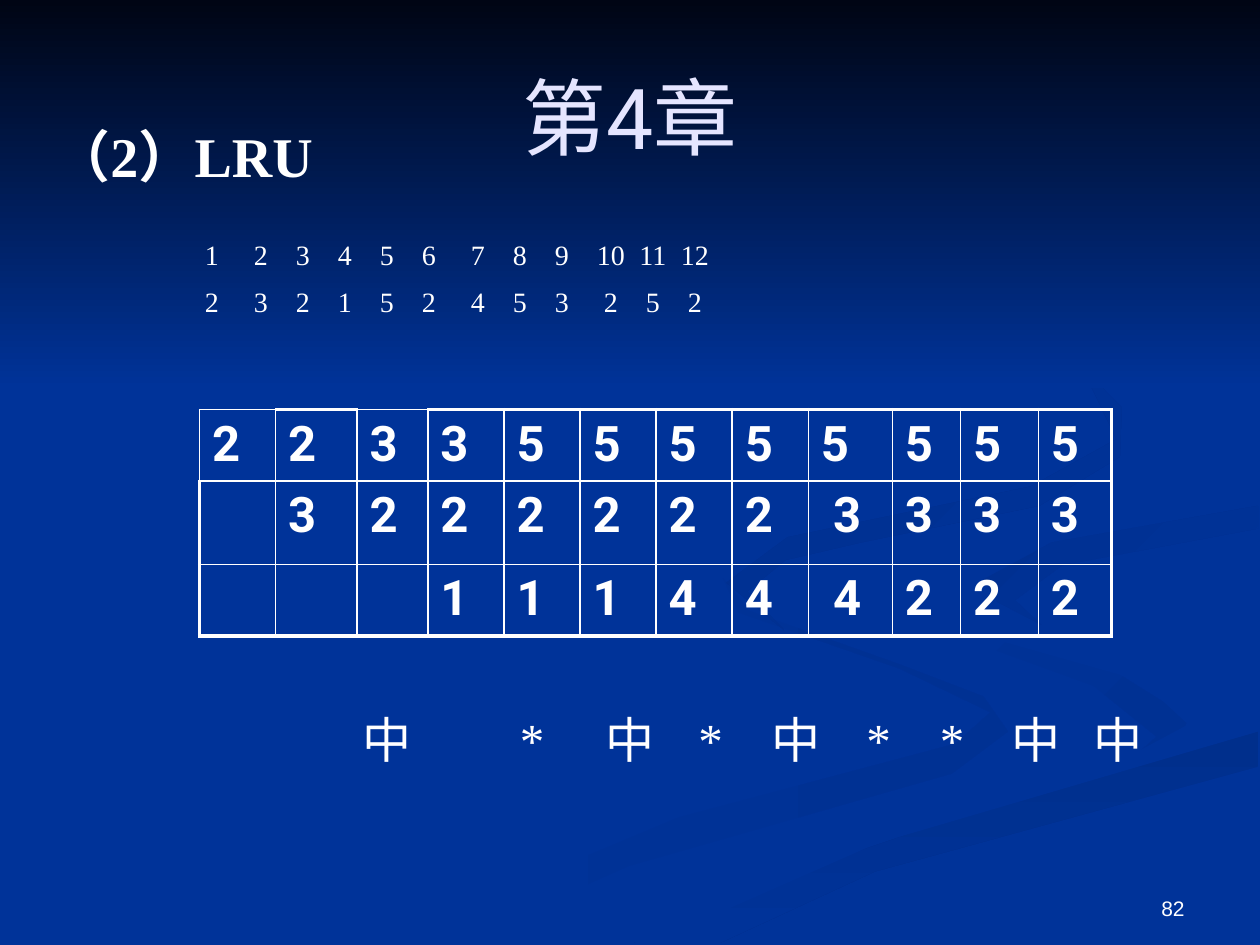
from itertools import accumulate

from lxml.etree import SubElement
from pptx import Presentation
from pptx.dml.color import RGBColor
from pptx.enum.text import MSO_ANCHOR, PP_ALIGN
from pptx.oxml.ns import qn
from pptx.util import Pt

WHITE, BLUE, NIGHT, LILAC = "FFFFFF", "003399", "000514", "E5E5FF"
SERIF, SANS, ARIAL = "Times New Roman", "Roboto", "Arial"

# Ribbons of the background: outline in points, gradient start, end, clockwise angle
RIBBONS = [
    ([(562, 398), (515, 380), (428, 349), (413, 330), (422, 350), (514, 382), (566, 407),
      (546, 425), (388, 467), (216, 539), (260, 539), (359, 495), (544, 442),
      (576, 418)], BLUE, "003193", 0),
    ([(679, 410), (639, 385), (546, 359), (521, 334), (537, 360), (625, 392), (661, 421),
      (644, 436), (675, 421)], BLUE, "003193", 45),
    ([(362, 539), (411, 539), (500, 498), (719, 438), (719, 418), (550, 466),
      (454, 499)], "002F8C", BLUE, 90),
    ([(522, 334), (546, 359), (652, 389), (679, 414), (634, 438), (507, 472), (343, 539),
      (374, 538), (501, 482), (719, 418), (719, 387), (624, 367), (562, 333), (592, 312),
      (719, 289), (719, 279), (567, 304)], BLUE, BLUE, 0),
    ([(562, 331), (570, 344), (595, 357), (580, 343), (607, 323), (719, 302), (719, 289),
      (601, 310)], "003091", BLUE, 45),
    ([(492, 310), (594, 289), (640, 261), (641, 233), (607, 198), (549, 168), (616, 205),
      (638, 251), (589, 278), (450, 307), (415, 333), (448, 360), (427, 338),
      (449, 320)], "002F8E", BLUE, 45),
    ([(0, 0), (720, 0), (720, 222), (0, 222)], NIGHT, BLUE, 90),
]

STEPS = [str(n) for n in range(1, 13)]
REQUESTS = "2 3 2 1 5 2 4 5 3 2 5 2".split()
WIDE_GAPS = (1, 6, 9)
STEP_TABS = list(accumulate((28 if i in WIDE_GAPS else 24 for i in range(1, 12)), initial=12))
MARKS = "中 * 中 * 中 * * 中 中".split()
MARK_TABS = [58, 141, 197, 243, 292, 339, 381, 429, 476]

FRAMES = ["2,2,3,3,5,5,5,5,5,5,5,5", ",3,2,2,2,2,2,2, 3,3,3,3", ",,,1,1,1,4,4, 4,2,2,2"]
COL_WIDTHS = [43.5, 46.5, 40.5] + [43.5] * 5 + [48, 39, 44.5, 42]
ROW_HEIGHTS = [41, 47.5, 41]
THIN_TOPS = (0, 2)


def rgb(color):
    return RGBColor.from_string(color)


def write(p, text, size=16, font=SERIF, color=WHITE, bold=False, align=PP_ALIGN.LEFT,
          before=0):
    p.alignment, p.space_before = align, Pt(before)
    r = p.add_run()
    r.text = text
    r.font.size, r.font.name, r.font.bold = Pt(size), font, bold
    r.font.color.rgb = rgb(color)


def set_tabs(p, stops):
    """Give the paragraph centred tab stops, in points."""
    tabs = SubElement(p._p.get_or_add_pPr(), qn("a:tabLst"))
    for stop in stops:
        SubElement(tabs, qn("a:tab"), pos=str(Pt(stop)), algn="ctr")


def set_borders(cell, widths):
    """Draw white borders; widths maps L, R, T and B to points."""
    tcPr = cell._tc.get_or_add_tcPr()
    for i, side in enumerate("LRTB"):
        ln = tcPr.makeelement(qn(f"a:ln{side}"), {"w": str(Pt(widths[side]))})
        fill = SubElement(ln, qn("a:solidFill"))
        SubElement(fill, qn("a:srgbClr"), val=WHITE)
        tcPr.insert(i, ln)


class Deck:
    def __init__(self, prs):
        self.s = prs.slides.add_slide(prs.slide_layouts[6])
        fill = self.s.background.fill
        fill.solid()
        fill.fore_color.rgb = rgb(BLUE)

    def ribbon(self, points, start, end, angle):
        builder = self.s.shapes.build_freeform(*points[0], scale=Pt(1))
        builder.add_line_segments(points[1:], close=True)
        sp = builder.convert_to_shape()
        sp.shadow.inherit = False
        sp.line.fill.background()
        sp.fill.gradient()
        sp.fill.gradient_angle = (360 - angle) % 360
        for stop, color in zip(sp.fill.gradient_stops, (start, end)):
            stop.color.rgb = rgb(color)

    def text(self, x, y, w, h, text, anchor=MSO_ANCHOR.TOP, **style):
        tf = self.s.shapes.add_textbox(Pt(x), Pt(y), Pt(w), Pt(h)).text_frame
        tf.word_wrap, tf.vertical_anchor = True, anchor
        write(tf.paragraphs[0], text, **style)

    def tabbed(self, x, y, w, h, rows, stops, size):
        """Write each row with its items centred on the tab stops."""
        tf = self.s.shapes.add_textbox(Pt(x), Pt(y), Pt(w), Pt(h)).text_frame
        tf.word_wrap = True
        for i, row in enumerate(rows):
            p = tf.add_paragraph() if i else tf.paragraphs[0]
            write(p, "\t" + "\t".join(row), size=size, before=size / 2 if i else 0)
            set_tabs(p, stops)

    def frame_table(self, x, y):
        n_rows, n_cols = len(ROW_HEIGHTS), len(COL_WIDTHS)
        table = self.s.shapes.add_table(n_rows, n_cols, Pt(x), Pt(y), Pt(sum(COL_WIDTHS)),
                                        Pt(sum(ROW_HEIGHTS))).table
        table.first_row = table.horz_banding = False
        for column, width in zip(table.columns, COL_WIDTHS):
            column.width = Pt(width)
        for i, height in enumerate(ROW_HEIGHTS):
            table.rows[i].height = Pt(height)
            for j, value in enumerate(FRAMES[i].split(",")):
                cell = table.cell(i, j)
                cell.fill.background()
                if value:
                    write(cell.text_frame.paragraphs[0], value, size=28, font=SANS, bold=True)
                outer = {"L": j == 0 and i > 0, "R": j == n_cols - 1,
                         "T": i == 0 and j not in THIN_TOPS, "B": i == n_rows - 1}
                set_borders(cell, {side: 2.25 if on else 1 for side, on in outer.items()})


def main():
    prs = Presentation()
    prs.slide_width, prs.slide_height = Pt(720), Pt(540)
    deck = Deck(prs)
    for ribbon in RIBBONS:
        deck.ribbon(*ribbon)
    deck.text(516, 492, 168, 37.5, "82", MSO_ANCHOR.BOTTOM, size=12, font=ARIAL,
              align=PP_ALIGN.RIGHT)
    deck.text(24, 66, 216, 45.5, "（2）LRU", size=32, bold=True)
    deck.frame_table(114, 234)
    deck.tabbed(102, 132, 540, 55.5, [STEPS, REQUESTS], STEP_TABS, 16)
    deck.tabbed(156, 402, 534, 41, [MARKS], MARK_TABS, 28)
    deck.text(36, 21.5, 648, 90, "第4章", MSO_ANCHOR.MIDDLE, size=48, font=SANS,
              color=LILAC, align=PP_ALIGN.CENTER)
    prs.save("out.pptx")


if __name__ == "__main__":
    main()
